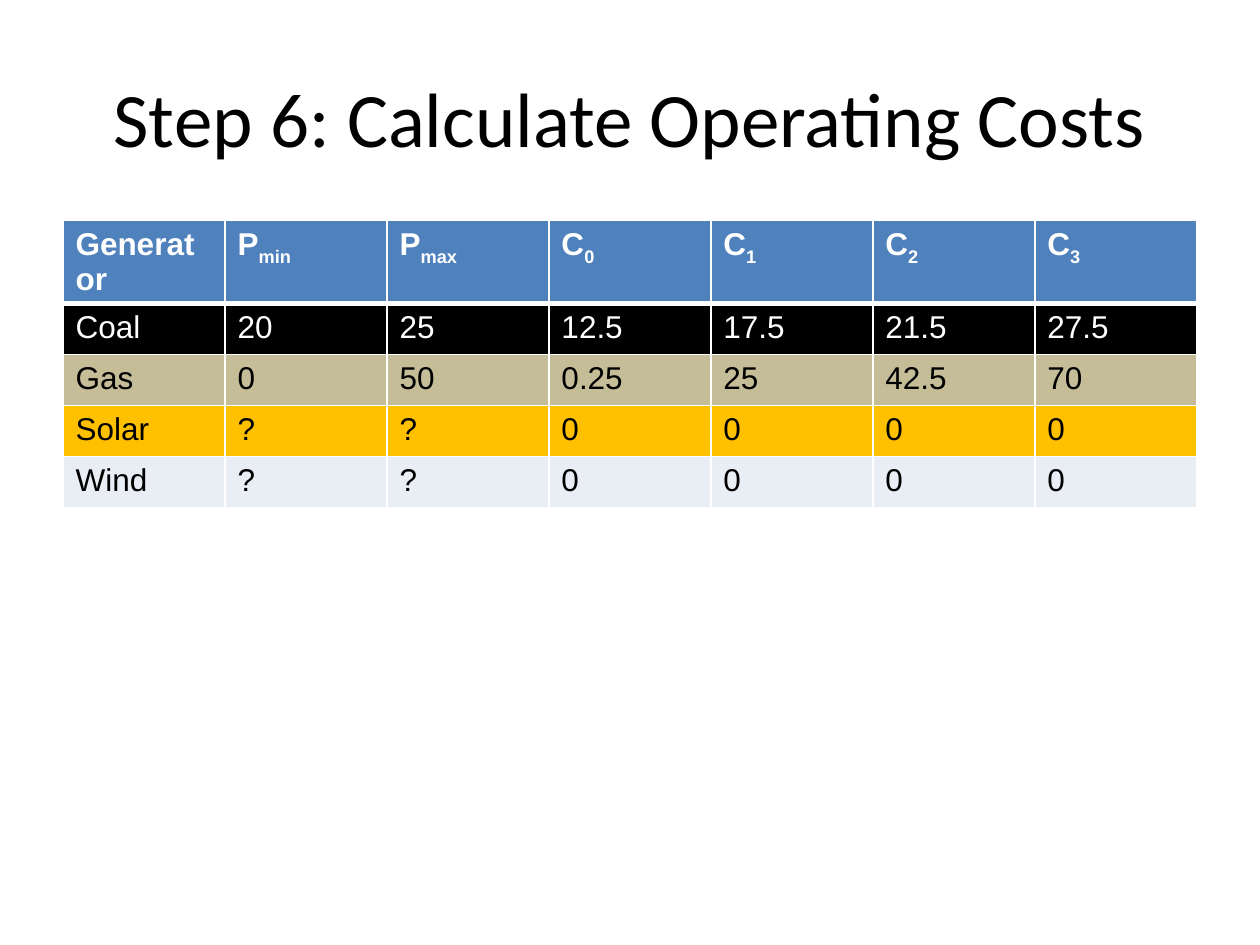
from dataclasses import dataclass

from lxml import etree
from pptx import Presentation
from pptx.dml.color import RGBColor
from pptx.enum.text import MSO_ANCHOR, PP_ALIGN
from pptx.oxml.ns import qn
from pptx.util import Inches, Pt

MIDDLE = MSO_ANCHOR.MIDDLE
CENTER = PP_ALIGN.CENTER
TITLE_ONLY = 5


@dataclass(frozen=True)
class Theme:
    dark: str = "000000"
    light: str = "FFFFFF"
    head: str = "4F81BD"
    gas: str = "C4BD97"
    solar: str = "FFC000"
    wind: str = "E9EDF4"
    title_font: str = "Calibri"
    body_font: str = "Arial"
    title_size: int = 44
    body_size: int = 18
    thin: int = 1
    thick: int = 3


class Page:
    def __init__(self, deck, theme):
        self.theme = theme
        self.wide, self.high = deck.slide_width, deck.slide_height
        self.slide = deck.slides.add_slide(deck.slide_layouts[TITLE_ONLY])

    def box(self, left, top, width, height):
        """Turn shares of the slide's size into lengths."""
        return (int(left * self.wide), int(top * self.high),
                int(width * self.wide), int(height * self.high))

    def run(self, para, text, font, size, color, bold=False, base=0):
        run = para.add_run()
        run.text = text
        run.font.name, run.font.size, run.font.bold = font, Pt(size), bold
        run.font.color.rgb = RGBColor.from_string(color)
        if base:
            run.font._element.set("baseline", str(base * 1000))

    def title(self, text, area):
        shape = self.slide.shapes.title
        shape.left, shape.top, shape.width, shape.height = self.box(*area)
        frame = shape.text_frame
        frame.vertical_anchor = MIDDLE
        para = frame.paragraphs[0]
        para.alignment = CENTER
        self.run(para, text, self.theme.title_font, self.theme.title_size,
                 self.theme.dark)

    def edges(self, cell, top, bottom):
        props = cell._tc.get_or_add_tcPr()
        sides = {"L": self.theme.thin, "R": self.theme.thin,
                 "T": top, "B": bottom}
        for spot, (side, width) in enumerate(sides.items()):
            line = etree.Element(qn(f"a:ln{side}"), w=str(Pt(width)))
            fill = etree.SubElement(line, qn("a:solidFill"))
            etree.SubElement(fill, qn("a:srgbClr"), val=self.theme.light)
            props.insert(spot, line)

    def cell(self, cell, parts, fill, color, bold):
        """Fill a cell with text; a second part is set as a subscript."""
        cell.fill.solid()
        cell.fill.fore_color.rgb = RGBColor.from_string(fill)
        para = cell.text_frame.paragraphs[0]
        for part, base in zip(parts, (0, -25)):
            self.run(para, part, self.theme.body_font, self.theme.body_size,
                     color, bold, base)

    def table(self, rows, area):
        """Draw rows of (cells, fill, text colour), the first as header."""
        count = len(rows[0][0])
        table = self.slide.shapes.add_table(
            len(rows), count, *self.box(*area)).table
        thin, thick = self.theme.thin, self.theme.thick
        for r, (cells, fill, color) in enumerate(rows):
            for c, parts in enumerate(cells):
                cell = table.cell(r, c)
                self.cell(cell, parts, fill, color, bold=r == 0)
                self.edges(cell, thick if r == 1 else thin,
                           thick if r == 0 else thin)


def plain(text):
    return [(word,) for word in text.split()]


def main():
    deck = Presentation()
    deck.slide_width, deck.slide_height = Inches(10), Inches(7.5)
    theme = Theme()
    page = Page(deck, theme)
    page.title("Step 6: Calculate Operating Costs", (0.05, 0.04, 0.9, 1 / 6))
    head = [("Generator",), ("P", "min"), ("P", "max")]
    head += [("C", str(n)) for n in range(4)]
    page.table([
        (head, theme.head, theme.light),
        (plain("Coal 20 25 12.5 17.5 21.5 27.5"), theme.dark, theme.light),
        (plain("Gas 0 50 0.25 25 42.5 70"), theme.gas, theme.dark),
        (plain("Solar ? ? 0 0 0 0"), theme.solar, theme.dark),
        (plain("Wind ? ? 0 0 0 0"), theme.wind, theme.dark),
    ], (0.05, 1.75 / 7.5, 0.9, 0.27))
    deck.save("out.pptx")


if __name__ == "__main__":
    main()
